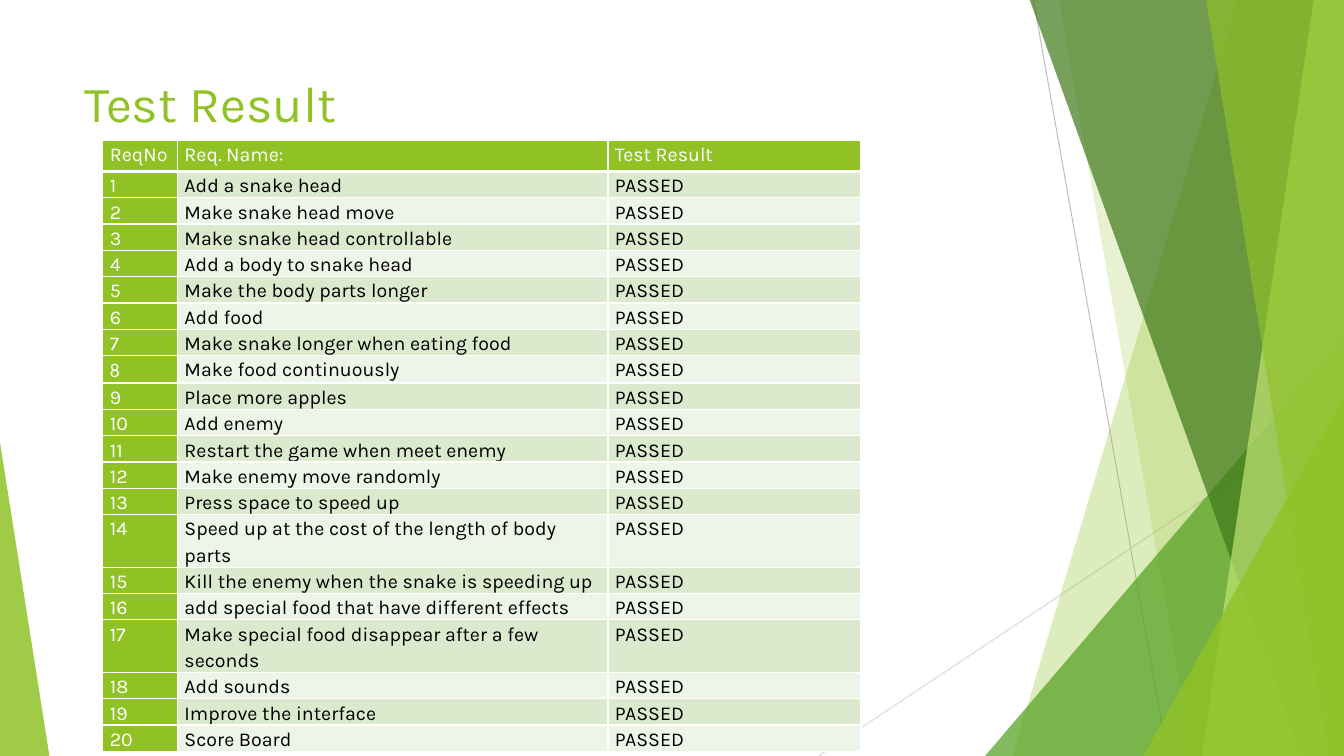
from lxml import etree
from pptx import Presentation
from pptx.dml.color import RGBColor
from pptx.enum.shapes import MSO_CONNECTOR, MSO_SHAPE
from pptx.enum.text import MSO_ANCHOR, PP_ALIGN
from pptx.oxml import parse_xml
from pptx.oxml.ns import nsdecls, qn
from pptx.util import Inches, Pt

STRAIGHT = MSO_CONNECTOR.STRAIGHT
TRIANGLE = MSO_SHAPE.ISOSCELES_TRIANGLE
TOP = MSO_ANCHOR.TOP
LEFT = PP_ALIGN.LEFT

LIME = RGBColor(0x90, 0xC2, 0x26)
GREEN = RGBColor(0x54, 0xA0, 0x21)
DARK_GREEN = RGBColor(0x3F, 0x78, 0x19)
PALE_LIME = RGBColor(0xC0, 0xE4, 0x74)
BAND_DARK = RGBColor(0xDB, 0xE9, 0xCD)
BAND_LIGHT = RGBColor(0xEE, 0xF4, 0xE8)
GREY = RGBColor(0xBF, 0xBF, 0xBF)
LIGHT_GREY = RGBColor(0xD9, 0xD9, 0xD9)
WHITE = RGBColor(0xFF, 0xFF, 0xFF)
BLACK = RGBColor(0, 0, 0)

REQUIREMENTS = [
    "Add a snake head",
    "Make snake head move",
    "Make snake head controllable",
    "Add a body to snake head",
    "Make the body parts longer",
    "Add food",
    "Make snake longer when eating food",
    "Make food continuously",
    "Place more apples",
    "Add enemy",
    "Restart the game when meet enemy",
    "Make enemy move randomly",
    "Press space to speed up",
    "Speed up at the cost of the length of body parts",
    "Kill the enemy when the snake is speeding up",
    "add special food that have different effects",
    "Make special food disappear after a few seconds",
    "Add sounds",
    "Improve the interface",
    "Score Board",
]
TWO_LINE_ROWS = (14, 17)


def write(tf, text, size=14, color=BLACK, font="Karla", spacing=None):
    p = tf.paragraphs[0]
    p.alignment = LEFT
    p.line_spacing = spacing
    r = p.add_run()
    r.text = text
    r.font.size = Pt(size)
    r.font.name = font
    r.font.bold = False
    r.font.color.rgb = color


def paint(sp, color, opacity):
    """Fill a shape with a see-through colour; opacity is in percent."""
    sp.shadow.inherit = False
    sp.line.fill.background()
    sp.fill.solid()
    sp.fill.fore_color.rgb = color
    srgb = sp.fill._xPr.find(qn("a:solidFill"))[0]
    etree.SubElement(srgb, qn("a:alpha"), val=str(opacity * 1000))


prs = Presentation()
prs.slide_width = Inches(13.33)
prs.slide_height = Inches(7.5)
s = prs.slides.add_slide(prs.slide_layouts[5])

# Title
title = s.shapes.title
title.left, title.top = Inches(0.74), Inches(0.67)
title.width, title.height = Inches(9.4), Inches(1.44)
title.text_frame.vertical_anchor = TOP
write(title.text_frame, "Test Result", size=36, color=LIME)

# Thin lines behind the facets
for x1, y1, x2, y2, color in [
    (10.25, 0, 11.58, 7.5, GREY),
    (13.33, 4.03, 8.12, 7.5, LIGHT_GREY),
]:
    line = s.shapes.add_connector(STRAIGHT, Inches(x1), Inches(y1), Inches(x2), Inches(y2))
    line.line.color.rgb = color
    line.line.width = Pt(0.75)
    etree.SubElement(line._element.spPr, qn("a:effectLst"))

# Facets: a band gives its top and bottom left corners and reaches the right edge;
# a triangle gives left, top, width, height and apex position
for kind, geometry, color, opacity in [
    ("band", (12.28, 10.04), LIME, 30),
    ("band", (10.5, 11.83), LIME, 20),
    ("triangle", (9.77, 3.33, 3.56, 4.17, 1), GREEN, 72),
    ("band", (10.21, 12.91), DARK_GREEN, 70),
    ("band", (13.03, 11.92), PALE_LIME, 70),
    ("band", (11.96, 13.18), LIME, 65),
    ("triangle", (11.34, 3.93, 1.99, 3.57, 1), LIME, 80),
    ("triangle", (0, 4.39, 0.49, 3.11, 0), LIME, 85),
]:
    if kind == "band":
        top_x, bottom_x = geometry
        corners = [(13.33, -0.01), (13.33, 7.5), (bottom_x, 7.5)]
        outline = s.shapes.build_freeform(Inches(top_x), Inches(-0.01))
        outline.add_line_segments([(Inches(x), Inches(y)) for x, y in corners])
        facet = outline.convert_to_shape()
    else:
        *box, apex = geometry
        facet = s.shapes.add_shape(TRIANGLE, *[Inches(v) for v in box])
        facet.adjustments[0] = apex
    paint(facet, color, opacity)

# Results table
rows = [("ReqNo", "Req. Name:", "Test Result")]
rows += [(str(n), name, "PASSED") for n, name in enumerate(REQUIREMENTS, 1)]
heights = [0.31] + [0.52 if n in TWO_LINE_ROWS else 0.26 for n in range(1, len(rows))]
table = s.shapes.add_table(
    len(rows), 3, Inches(1.02), Inches(1.39), Inches(7.52), Inches(sum(heights))
).table
table.first_row = table.horz_banding = False
for column, width in zip(table.columns, (0.74, 4.27, 2.51)):
    column.width = Inches(width)

for i, row in enumerate(rows):
    table.rows[i].height = Inches(heights[i])
    for j, text in enumerate(row):
        cell = table.cell(i, j)
        cell.margin_left = cell.margin_right = Inches(0.07)
        cell.margin_top = cell.margin_bottom = 0
        for side in "LRTB":
            thick = (i == 0 and side == "B") or (i == 1 and side == "T")
            cell._tc.get_or_add_tcPr().append(parse_xml(
                f'<a:ln{side} {nsdecls("a")} w="{Pt(3 if thick else 1)}"><a:solidFill>'
                f'<a:srgbClr val="{WHITE}"/></a:solidFill></a:ln{side}>'
            ))
        accent = i == 0 or j == 0
        cell.fill.solid()
        cell.fill.fore_color.rgb = LIME if accent else BAND_DARK if i % 2 else BAND_LIGHT
        write(cell.text_frame, text, color=WHITE if accent else BLACK,
              font="Calibri" if text == "8" else "Karla", spacing=1.15)

prs.save("out.pptx")
